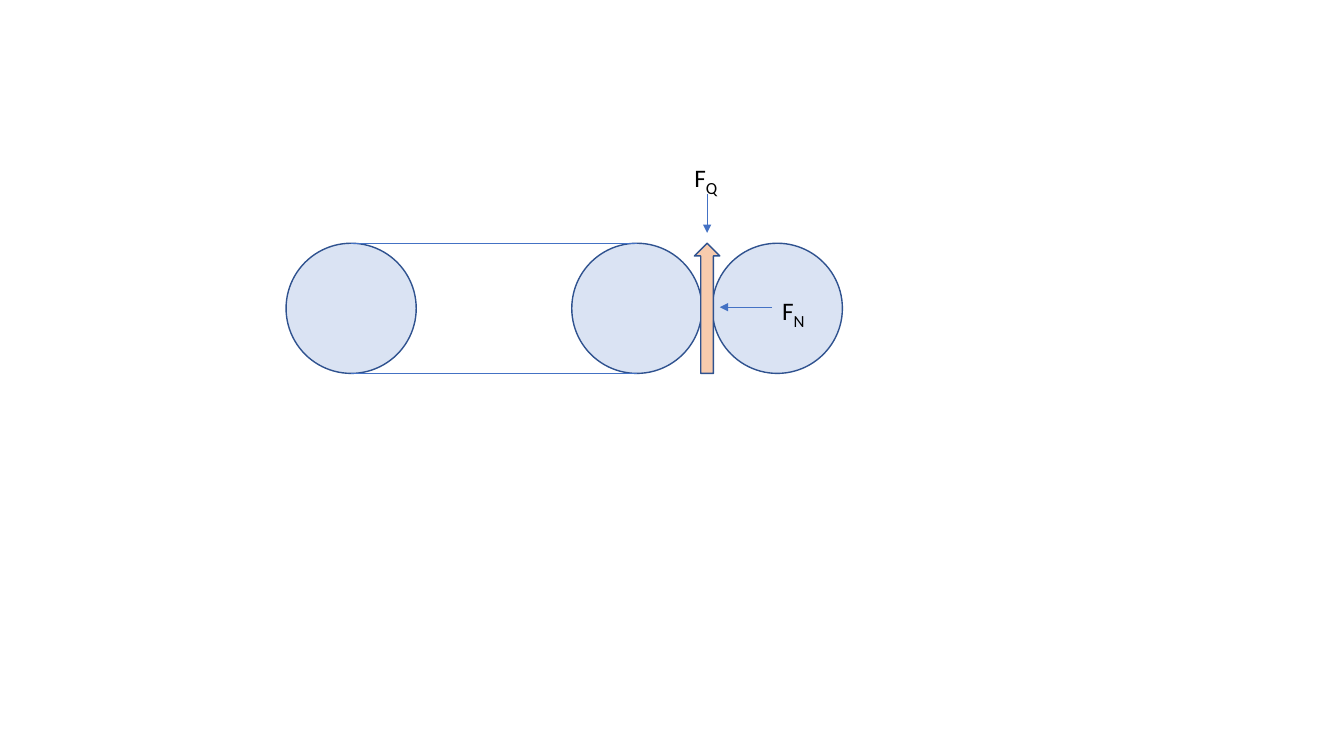
from lxml.etree import SubElement
from pptx import Presentation
from pptx.dml.color import RGBColor
from pptx.enum.shapes import MSO_CONNECTOR, MSO_SHAPE
from pptx.oxml.ns import qn
from pptx.util import Cm, Pt

PALE = RGBColor(0xDA, 0xE3, 0xF3)
PEACH = RGBColor(0xF8, 0xCB, 0xAD)
NAVY = RGBColor(0x2F, 0x52, 0x8F)
BLUE = RGBColor(0x44, 0x72, 0xC4)
BLACK = RGBColor(0, 0, 0)


class Sketch:
    """Draw the parts of a force diagram on one slide, in centimetres."""

    def __init__(self, slide, font="Calibri"):
        self.shapes = slide.shapes
        self.font = font

    def solid(self, kind, left, top, width, height, fill):
        shape = self.shapes.add_shape(kind, Cm(left), Cm(top), Cm(width), Cm(height))
        shape.shadow.inherit = False
        shape.fill.solid()
        shape.fill.fore_color.rgb = fill
        shape.line.color.rgb = NAVY
        shape.line.width = Pt(1)

    def line(self, start, end, head=False):
        points = [Cm(value) for value in (*start, *end)]
        line = self.shapes.add_connector(MSO_CONNECTOR.STRAIGHT, *points)
        line.line.color.rgb = BLUE
        line.line.width = Pt(0.5)
        if head:
            SubElement(line.line._get_or_add_ln(), qn("a:tailEnd"), type="triangle")
        SubElement(line._element.spPr, qn("a:effectLst"))

    def force(self, left, top, width, index):
        box = self.shapes.add_textbox(Cm(left), Cm(top), Cm(width), Cm(1.14))
        box.text_frame.word_wrap = False
        para = box.text_frame.paragraphs[0]
        for text, size in (("F", 18), (index, 20.8)):
            run = para.add_run()
            run.text = text
            run.font.size = Pt(size)
        run.font._element.set("baseline", "-25000")
        para.font.name = self.font
        para.font.color.rgb = BLACK


def main():
    deck = Presentation()
    deck.slide_width, deck.slide_height = Cm(33.87), Cm(19.05)
    sketch = Sketch(deck.slides.add_slide(deck.slide_layouts[6]))

    top, size = 6.13, 3.28
    first, second, third = 7.21, 14.41, 17.95
    for left in (first, second, third):
        sketch.solid(MSO_SHAPE.OVAL, left, top, size, size, PALE)
    for level in (top, top + size):
        sketch.line((first + size / 2, level), (second + size / 2, level))

    mid, width = 17.82, 0.64
    sketch.solid(MSO_SHAPE.UP_ARROW, mid - width / 2, top, width, size, PEACH)
    sketch.line((mid, 4.9), (mid, 5.87), head=True)
    sketch.force(17.25, 3.86, 1.4, "Q")
    sketch.line((19.46, 7.74), (18.14, 7.74), head=True)
    sketch.force(19.46, 7.21, 1.32, "N")
    deck.save("out.pptx")


if __name__ == "__main__":
    main()
